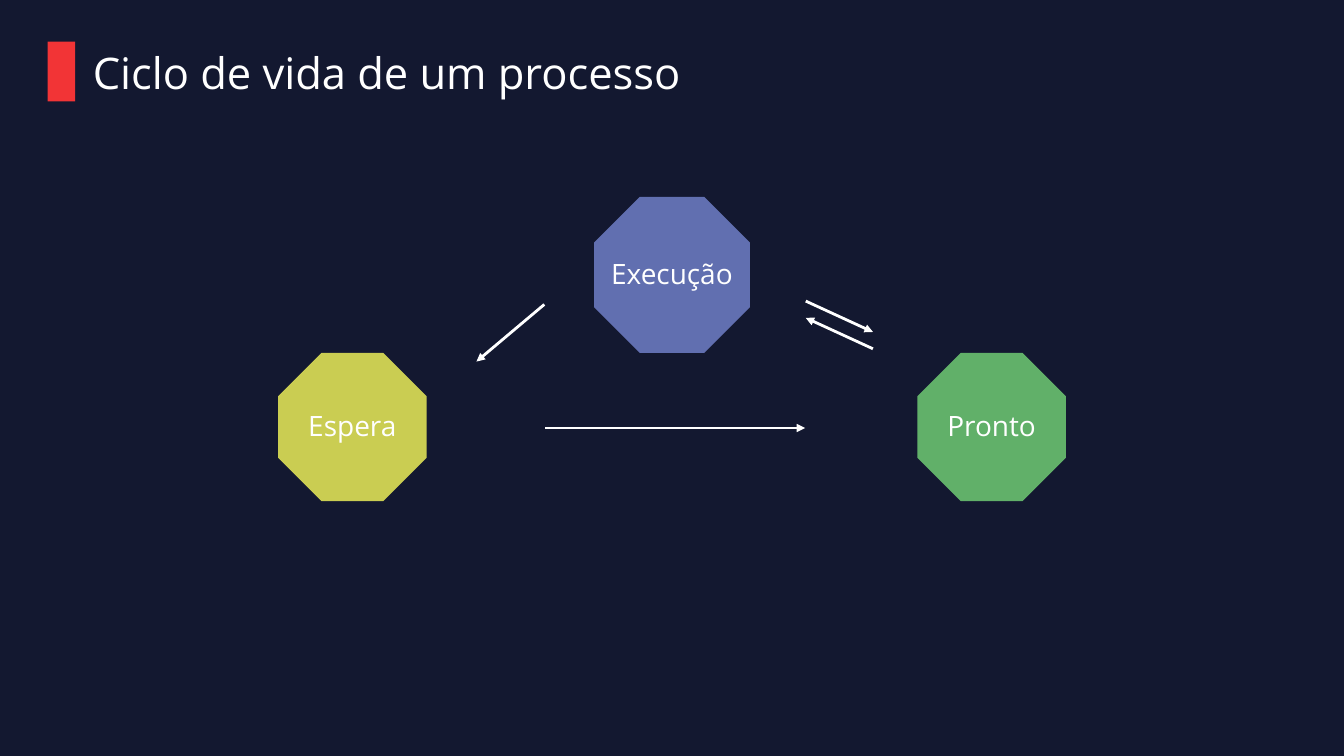
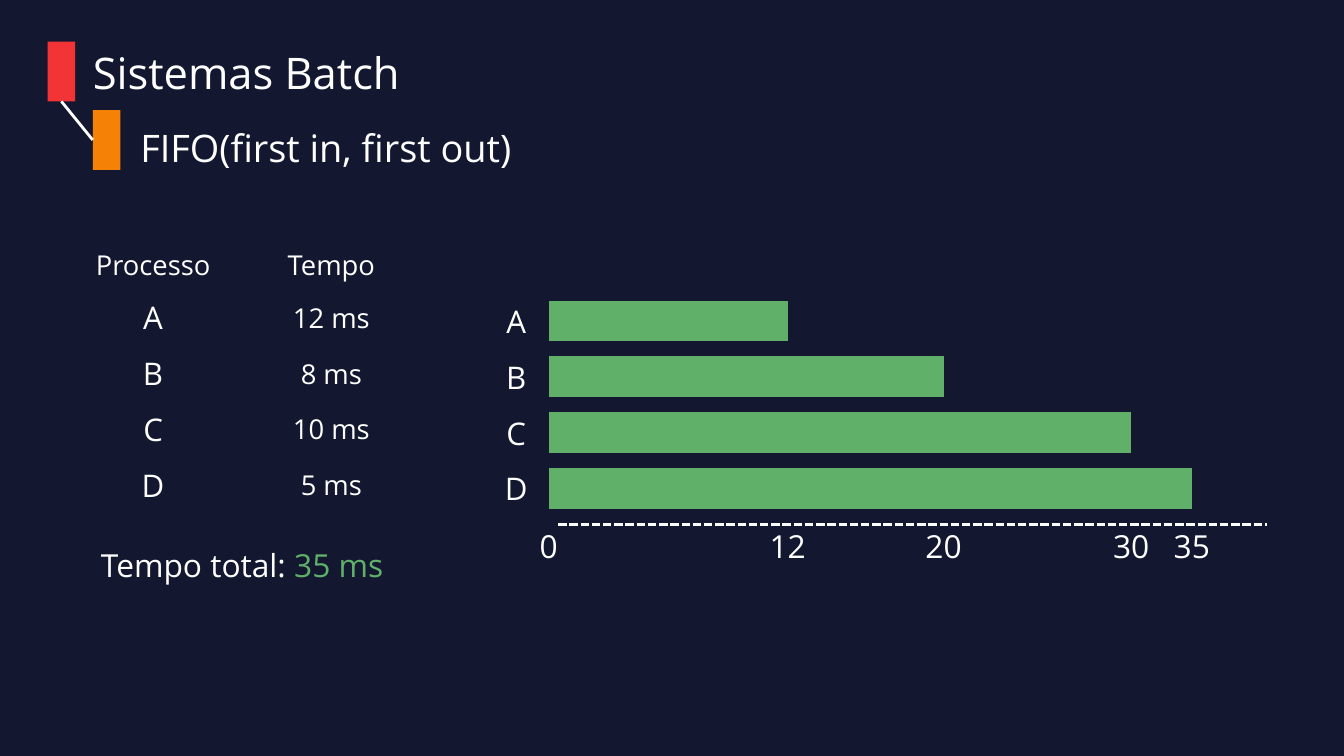
from itertools import pairwise

from lxml import etree
from pptx import Presentation
from pptx.dml.color import RGBColor
from pptx.enum.dml import MSO_LINE
from pptx.enum.shapes import MSO_CONNECTOR, MSO_SHAPE
from pptx.enum.text import MSO_ANCHOR, MSO_AUTO_SIZE, PP_ALIGN
from pptx.oxml.ns import qn
from pptx.util import Pt

STRAIGHT = MSO_CONNECTOR.STRAIGHT
RECTANGLE, OCTAGON = MSO_SHAPE.RECTANGLE, MSO_SHAPE.OCTAGON
LEFT, CENTER = PP_ALIGN.LEFT, PP_ALIGN.CENTER
TOP, MIDDLE = MSO_ANCHOR.TOP, MSO_ANCHOR.MIDDLE
DASHED = MSO_LINE.SQUARE_DOT
NO_AUTOFIT = MSO_AUTO_SIZE.NONE

FONT = "Open Sans"
NAVY, WHITE, RED, ORANGE = "131830", "FFFFFF", "F23436", "F68107"
YELLOW, GREEN, BLUE = "CACD52", "61B069", "616FB0"
PLAIN_TABLE_STYLE = "{2D5ABB26-0587-4C30-8999-92F81FD0307C}"

MARKER_WIDTH, MARKER_HEIGHT = 29.5, 64
ROW_HEIGHT = 59.75
PROCESSES = [("A", 12), ("B", 8), ("C", 10), ("D", 5)]


def paint(color_format, color):
    """Apply a hex colour to a fill, line or font colour."""
    color_format.rgb = RGBColor.from_string(color)


def write(frame, text, size=34, color=WHITE, align=CENTER, spacing=1.4):
    """Append a formatted run, with line spacing given as a multiple of its size."""
    paragraph = frame.paragraphs[0]
    paragraph.alignment = align
    paragraph.line_spacing = Pt(round(size * spacing, 1))
    run = paragraph.add_run()
    run.text = text
    run.font.name = FONT
    run.font.size = Pt(size)
    paint(run.font.color, color)


def prepare_frame(frame, anchor=TOP, wrap=True, bottom=0):
    """Remove the insets of a text frame and set its anchor and wrapping."""
    frame.margin_left = frame.margin_right = frame.margin_top = 0
    frame.margin_bottom = Pt(bottom)
    frame.vertical_anchor = anchor
    frame.word_wrap = wrap
    frame.auto_size = NO_AUTOFIT
    return frame


def add_label(slide, left, top, width, height, text, **text_format):
    """Add a text box and return its frame."""
    box = slide.shapes.add_textbox(Pt(left), Pt(top), Pt(width), Pt(height))
    frame = prepare_frame(box.text_frame)
    write(frame, text, **text_format)
    return frame


def add_block(slide, preset, left, top, width, height, color):
    """Add a flat filled shape without outline."""
    shape = slide.shapes.add_shape(preset, Pt(left), Pt(top), Pt(width), Pt(height))
    shape.shadow.inherit = False
    shape.fill.solid()
    paint(shape.fill.fore_color, color)
    shape.line.fill.background()
    return shape


def add_line(slide, start, end, color=WHITE, width=3, arrow=False, dash=None):
    """Add a flat straight connector between two points."""
    connector = slide.shapes.add_connector(
        STRAIGHT, Pt(start[0]), Pt(start[1]), Pt(end[0]), Pt(end[1]))
    paint(connector.line.color, color)
    connector.line.width = Pt(width)
    if dash:
        connector.line.dash_style = dash
    properties = connector.element.find(qn("p:spPr"))
    if arrow:
        outline = properties.find(qn("a:ln"))
        etree.SubElement(outline, qn("a:tailEnd"), type="triangle")
    etree.SubElement(properties, qn("a:effectLst"))
    return connector


def add_titled_slide(presentation, title, left=51, top=44.6):
    """Add a slide with its title and red marker, and return both."""
    slide = presentation.slides.add_slide(presentation.slide_layouts[5])
    marker = add_block(slide, RECTANGLE, left, top, MARKER_WIDTH, MARKER_HEIGHT, RED)
    placeholder = slide.shapes.title
    placeholder.left, placeholder.top = Pt(left + 48.4), Pt(top + 4.4)
    placeholder.width, placeholder.height = Pt(1061), Pt(56)
    frame = prepare_frame(placeholder.text_frame)
    write(frame, title, size=46.6, align=LEFT, spacing=1.2)
    return slide, marker


def add_subtitle(slide, parent_marker, text, left, top):
    """Add an orange marker with its heading, joined to the title marker."""
    marker = add_block(slide, RECTANGLE, left, top, MARKER_WIDTH, MARKER_HEIGHT, ORANGE)
    add_label(slide, left + 51, top + 16, 1061, 48, text,
              size=40.6, align=LEFT, spacing=1.2)
    branch = add_line(slide, (left - 33, top - 9), (left, top + MARKER_HEIGHT / 2))
    branch.begin_connect(parent_marker, 2)
    branch.end_connect(marker, 1)


def add_state(slide, left, top, size, name, color):
    """Add an octagon that names a process state."""
    octagon = add_block(slide, OCTAGON, left, top, size, size, color)
    frame = prepare_frame(octagon.text_frame, anchor=MIDDLE, wrap=False, bottom=10)
    write(frame, name, size=30)


def add_cycle(slide, left, top, width):
    """Draw the three process states and the transitions between them."""
    side, peak = 159, 167
    add_state(slide, left, top + peak, side, "Espera", YELLOW)
    add_state(slide, left + width - side, top + peak, side, "Pronto", GREEN)
    add_state(slide, left + (width - peak) / 2, top, peak, "Execução", BLUE)
    transitions = [
        ((286, 247.6), (564.6, 247.6)),
        ((565.3, 111.6), (637.3, 144.7)),
        ((637.3, 162.7), (565.3, 129.6)),
        ((285.2, 115.2), (212.5, 176.4)),
    ]
    for start, end in transitions:
        add_line(slide, (left + start[0], top + start[1]),
                 (left + end[0], top + end[1]), arrow=True)


def add_process_table(slide, left, top, width):
    """Add the table of processes and their times."""
    rows = [("Processo", "Tempo")] + [(name, f"{time} ms") for name, time in PROCESSES]
    header_height = 53
    graphic = slide.shapes.add_table(
        len(rows), 2, Pt(left), Pt(top), Pt(width),
        Pt(header_height + ROW_HEIGHT * len(PROCESSES)))
    table = graphic.table
    table.first_row = table.horz_banding = False
    for style in graphic.element.iter(qn("a:tableStyleId")):
        style.text = PLAIN_TABLE_STYLE
    for row_index, texts in enumerate(rows):
        table.rows[row_index].height = Pt(ROW_HEIGHT if row_index else header_height)
        for column_index, text in enumerate(texts):
            cell = table.cell(row_index, column_index)
            cell.fill.background()
            cell.margin_left = cell.margin_right = 0
            cell.margin_top = cell.margin_bottom = 0
            cell.vertical_anchor = MIDDLE
            is_name = row_index and not column_index
            write(cell.text_frame, text, size=33.4 if is_name else 29.3)


def add_timeline(slide, left, top):
    """Draw each process as a bar up to its finish, over a dashed time axis."""
    stops = [(0, 0), (12, 256), (20, 423), (30, 624), (35, 689)]
    for index, (name, _) in enumerate(PROCESSES):
        middle = top + ROW_HEIGHT * (index + 0.5)
        add_label(slide, left - 55, middle - 26.5, 40, 45, name, size=33.4)
        for (_, start), (_, end) in pairwise(stops[:index + 2]):
            add_line(slide, (left + start, middle), (left + end, middle),
                     color=GREEN, width=43.5)
    axis = top + ROW_HEIGHT * len(PROCESSES) + 9
    add_line(slide, (left + 10, axis), (left + 770, axis), dash=DASHED)
    for time, offset in stops:
        add_label(slide, left + offset - 25, axis - 4, 50, 45.4, str(time))


def build_cycle_slide(presentation):
    """Build the slide on the process life cycle."""
    slide, _ = add_titled_slide(presentation, "Ciclo de vida de um processo")
    add_cycle(slide, 298, 211, 844)


def build_fifo_slide(presentation):
    """Build the slide on first in, first out scheduling."""
    slide, marker = add_titled_slide(presentation, "Sistemas Batch")
    add_subtitle(slide, marker, "FIFO(first in, first out)", 99.4, 118)
    add_process_table(slide, 68.5, 257, 382)
    add_timeline(slide, 588, 314)
    total = add_label(slide, 99.4, 578, 320, 45.4, "Tempo total: ")
    write(total, f"{sum(time for _, time in PROCESSES)} ms", color=GREEN)


def main():
    """Build and save the presentation."""
    presentation = Presentation()
    presentation.slide_width, presentation.slide_height = Pt(1440), Pt(810)
    background = presentation.slide_master.background.fill
    background.solid()
    paint(background.fore_color, NAVY)
    build_cycle_slide(presentation)
    build_fifo_slide(presentation)
    presentation.save("out.pptx")


if __name__ == "__main__":
    main()
